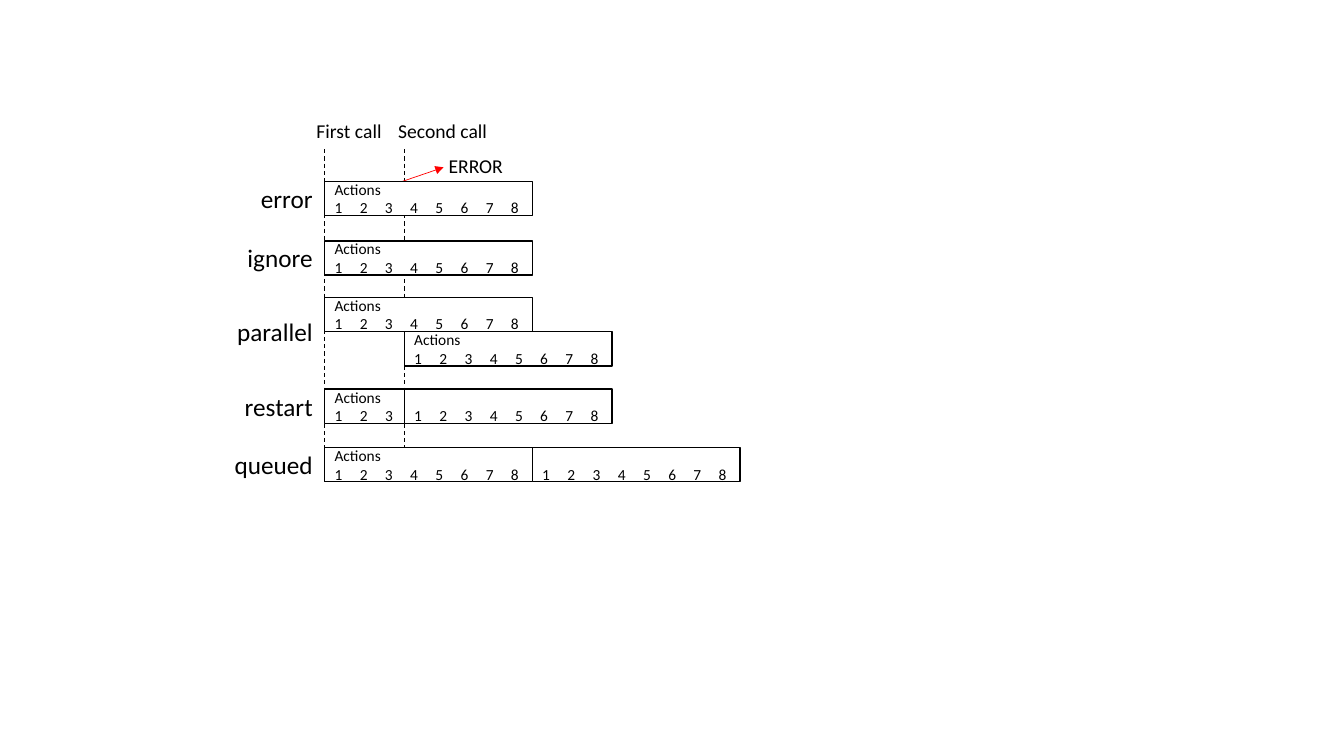
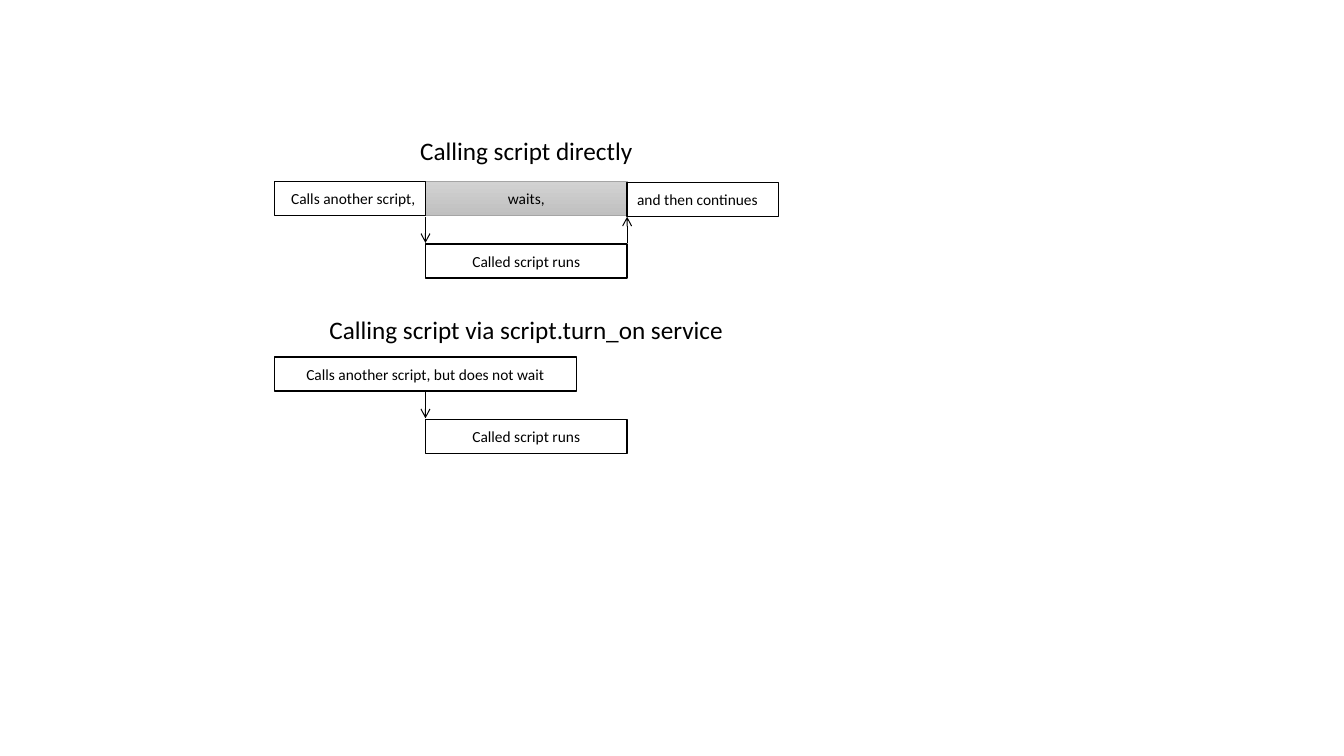
"""Build two slides of timing diagrams: script run modes and script calls."""
from lxml.etree import SubElement
from pptx import Presentation
from pptx.dml.color import RGBColor
from pptx.enum.dml import MSO_LINE
from pptx.enum.shapes import MSO_CONNECTOR, MSO_SHAPE
from pptx.enum.text import MSO_ANCHOR, MSO_AUTO_SIZE, PP_ALIGN
from pptx.oxml.ns import qn
from pptx.util import Pt

PX = 9144
BLACK, WHITE, RED, GREY = "000000", "FFFFFF", "FF0000", "A5A5A5"
WAIT_GRADIENT = ("D2D2D2", "C0C0C0")
FONT = "Calibri"
LEFT, CENTER, RIGHT = PP_ALIGN.LEFT, PP_ALIGN.CENTER, PP_ALIGN.RIGHT
BAR_HEIGHT, TAB_STEP, LINE_HEIGHT = 34, 25, 19
LARGE_HEIGHT, SMALL_HEIGHT = 40, 34

FIRST, SECOND, RUN = 322, 401, 206
LABEL_RIGHT = 320
CALLS = [("First call", 304, 85, FIRST), ("Second call", 385, 109, SECOND)]
CALL_TOP, GUIDE_TOP, GUIDE_BOTTOM = 113, 148, 478
MODES = [
    ("error", 72, [(FIRST, 180, 8, "Actions")]),
    ("ignore", 86, [(FIRST, 239, 8, "Actions")]),
    ("parallel", 96, [(FIRST, 295, 8, "Actions"), (SECOND, 329, 8, "Actions")]),
    ("restart", 88, [(FIRST, 386, 3, "Actions"), (SECOND, 386, 8, None)]),
    ("queued", 99, [(FIRST, 444, 8, "Actions"), (FIRST + RUN, 444, 8, None)]),
]

START, CALLED, RETURNED, END = 272, 422, 622, 772
TITLES = [
    ("Calling script directly", 129, 239),
    ("Calling script via script.turn_on service", 307, 415),
]
STEPS = [
    ("waits,", CALLED, 180, 200, CENTER, True),
    ("Calls another script,", START, 180, 150, RIGHT, False),
    ("Called script runs", CALLED, 242, 200, CENTER, False),
    ("and then continues", RETURNED, 181, 150, LEFT, False),
    ("Calls another script, but does not wait", START, 354, 300, CENTER, False),
    ("Called script runs", CALLED, 416, 200, CENTER, False),
]
ARROWS = [(CALLED, 215, "tailEnd"), (RETURNED, 215, "headEnd"), (CALLED, 389, "tailEnd")]
ARROW_LENGTH = 26


def color(value):
    return RGBColor.from_string(value)


def place(*lengths):
    return [round(length * PX) for length in lengths]


def set_all(target, values):
    for name, value in values.items():
        setattr(target, name, value)


def write(para, text, size, align=LEFT):
    para.alignment = align
    span = para.add_run()
    span.text = text
    set_all(span.font, {"name": FONT, "size": Pt(size)})
    span.font.color.rgb = color(BLACK)


def add_label(shapes, text, left, top, width, height, size, align=LEFT):
    box = shapes.add_textbox(*place(left, top, width, height))
    set_all(box.text_frame, {"word_wrap": False, "auto_size": MSO_AUTO_SIZE.SHAPE_TO_FIT_TEXT})
    write(box.text_frame.paragraphs[0], text, size, align)


def add_bar(shapes, left, top, width, waiting=False):
    bar = shapes.add_shape(MSO_SHAPE.RECTANGLE, *place(left, top, width, BAR_HEIGHT))
    bar.shadow.inherit = False
    if waiting:
        bar.fill.gradient()
        bar.fill.gradient_angle = 270
        for stop, shade in zip(bar.fill.gradient_stops, WAIT_GRADIENT):
            stop.color.rgb = color(shade)
    else:
        bar.fill.solid()
        bar.fill.fore_color.rgb = color(WHITE)
    bar.line.color.rgb = color(GREY if waiting else BLACK)
    bar.line.width = Pt(0.5 if waiting else 1)
    bar.text_frame.vertical_anchor = MSO_ANCHOR.MIDDLE
    return bar


def add_line(shapes, start, end, shade=BLACK, width=0.75, dash=None, head=None):
    line = shapes.add_connector(MSO_CONNECTOR.STRAIGHT, *place(*start, *end))
    line.line.color.rgb = color(shade)
    set_all(line.line, {"width": Pt(width), "dash_style": dash})
    if head:
        side, kind = head
        SubElement(line.line._get_or_add_ln(), qn(f"a:{side}"), type=kind)
    SubElement(line._element.spPr, qn("a:effectLst"))


def add_actions(shapes, left, top, count, heading):
    """Draw one run as a bar whose action numbers stand on even tab stops."""
    frame = add_bar(shapes, left, top, RUN if count == 8 else SECOND - FIRST).text_frame
    para = frame.paragraphs[0]
    if heading:
        write(para, heading, 11)
        para = frame.add_paragraph()
    else:
        set_all(frame, {"margin_top": LINE_HEIGHT * PX, "margin_bottom": 0})
    write(para, "\t".join(str(number) for number in range(1, count + 1)), 11)
    tabs = SubElement(para._p.get_or_add_pPr(), qn("a:tabLst"))
    for index in range(1, count):
        SubElement(tabs, qn("a:tab"), pos=str(index * TAB_STEP * PX), algn="l")


def build_modes(page):
    shapes = page.shapes
    for text, left, width, guide in CALLS:
        add_label(shapes, text, left, CALL_TOP, width, SMALL_HEIGHT, 14)
        add_line(shapes, (guide, GUIDE_TOP), (guide, GUIDE_BOTTOM), dash=MSO_LINE.DASH)
    add_line(shapes, (399, 180), (440, 166), RED, 0.5, head=("tailEnd", "triangle"))
    add_label(shapes, "ERROR", 435, 148, 75, SMALL_HEIGHT, 14)
    for name, width, runs in MODES:
        row = page.shapes.add_group_shape().shapes
        middle = (runs[0][1] + runs[-1][1] + BAR_HEIGHT) / 2
        add_label(row, name, LABEL_RIGHT - width, middle - LARGE_HEIGHT / 2,
                  width, LARGE_HEIGHT, 18, RIGHT)
        for run in runs:
            add_actions(row, *run)


def build_calls(page):
    for text, left, top, width, align, waiting in STEPS:
        bar = add_bar(page.shapes, left, top, width, waiting)
        bar.text_frame.word_wrap = True
        write(bar.text_frame.paragraphs[0], text, 11, align)
    for x, top, side in ARROWS:
        add_line(page.shapes, (x, top), (x, top + ARROW_LENGTH), head=(side, "arrow"))
    for text, top, width in TITLES:
        add_label(page.shapes, text, (START + END - width) / 2, top,
                  width, LARGE_HEIGHT, 18, CENTER)


def main():
    deck = Presentation()
    set_all(deck, {"slide_width": 1333 * PX, "slide_height": 750 * PX})
    for build in (build_modes, build_calls):
        build(deck.slides.add_slide(deck.slide_layouts[6]))
    deck.save("out.pptx")


if __name__ == "__main__":
    main()
